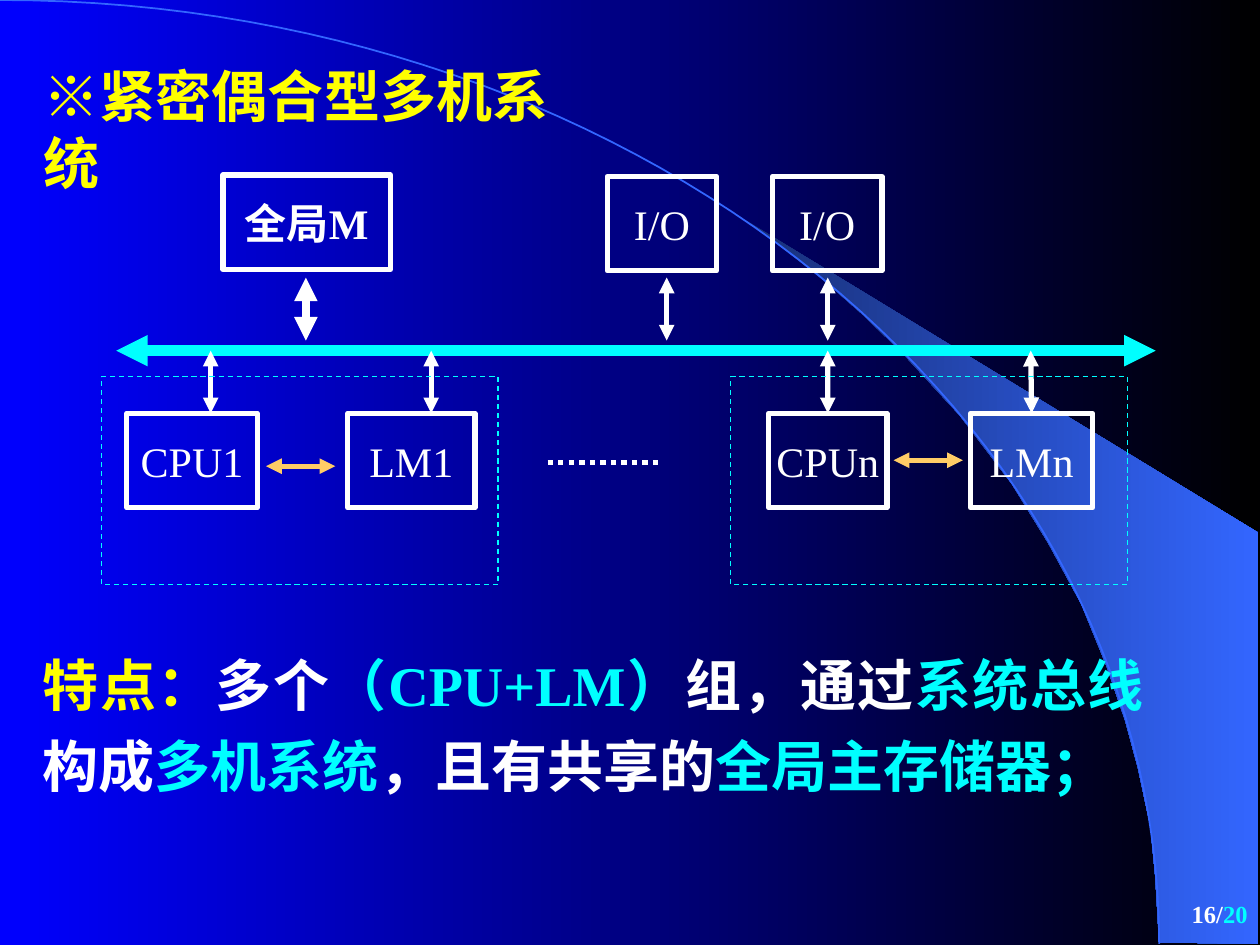
from dataclasses import dataclass
from typing import Optional

from lxml import etree
from pptx import Presentation
from pptx.dml.color import RGBColor
from pptx.enum.dml import MSO_LINE
from pptx.enum.shapes import MSO_CONNECTOR, MSO_SHAPE
from pptx.enum.text import MSO_ANCHOR, PP_ALIGN
from pptx.oxml.ns import qn
from pptx.util import Pt

RECT = MSO_SHAPE.RECTANGLE
STRAIGHT = MSO_CONNECTOR.STRAIGHT
DASH, DOT = MSO_LINE.DASH, MSO_LINE.ROUND_DOT
TOP, MIDDLE = MSO_ANCHOR.TOP, MSO_ANCHOR.MIDDLE
LEFT, CENTER, RIGHT, JUSTIFY = (
    PP_ALIGN.LEFT, PP_ALIGN.CENTER, PP_ALIGN.RIGHT, PP_ALIGN.JUSTIFY)
TOP_SIDE = 0

LATIN, CJK = "Times New Roman", "Noto Sans CJK SC"
COLORS = {
    "white": "FFFFFF", "yellow": "FFFF00", "cyan": "00FFFF", "orange": "FFCC66",
    "blue": "0000FF", "black": "000000", "arc": "3366FF", "deep": "182F76",
}


@dataclass
class Unit:
    text: str
    x: float
    y: float
    w: float
    bold: bool = False
    h: float = 54


@dataclass
class Arrow:
    x1: float
    y1: float
    x2: float
    y2: float
    color: str = "white"
    width: float = 3
    dash: Optional[MSO_LINE] = None
    target: Optional[str] = None


@dataclass
class Run:
    text: str
    color: str
    font: str = LATIN


BUS_Y, CPU_Y, IO_Y = 200.4, 236.2, 100.8
GAP_TOP, GAP_BOTTOM = 158.6, 194.6
UNITS = [
    Unit("CPU1", 72.5, CPU_Y, 74.5),
    Unit("LM1", 198.7, CPU_Y, 72.7),
    Unit("全局M", 127.4, 100, 95.8, bold=True),
    Unit("CPUn", 439.2, CPU_Y, 67.7),
    Unit("LMn", 554.6, CPU_Y, 69.8),
    Unit("I/O", 347, IO_Y, 62.6),
    Unit("I/O", 441.4, IO_Y, 62.6),
]
ARROWS = [
    Arrow(66.4, BUS_Y, 660.4, BUS_Y, "cyan", 6),
    Arrow(174.8, GAP_TOP, 174.8, GAP_BOTTOM, width=4.5),
    Arrow(381, GAP_TOP, 381, GAP_BOTTOM),
    Arrow(473, GAP_TOP, 473, GAP_BOTTOM),
    Arrow(120.4, BUS_Y, 120.4, CPU_Y),
    Arrow(246.4, BUS_Y, 246.4, CPU_Y),
    Arrow(473, BUS_Y, 473, CPU_Y, target="CPUn"),
    Arrow(589, BUS_Y, 589, CPU_Y, target="LMn"),
    Arrow(152, 266.4, 191.6, 266.4, "orange"),
    Arrow(510.6, 263, 550.2, 263, "orange"),
    Arrow(313, 264.4, 379, 264.4, dash=DOT),
]
GROUP_LEFTS = [57.8, 417.4]
ARC_BEZIER = [(0, 0), (365.8, 0), (662.4, 241.2), (662.4, 539.3)]
BEAM = [
    (662.4, 538.6), (719.3, 539.3), (719.3, 304.6), (424.1, 124.6), (449.3, 143.3),
    (470.2, 159.8), (493.2, 180), (515.5, 201.6), (548.6, 237.6), (578.2, 276.5),
    (599, 310.3), (617.8, 344.9), (632.2, 380.2), (643, 411.8), (650.2, 438.5),
    (657.4, 472.3), (660.2, 501.1),
]


def rgb(name: str) -> RGBColor:
    return RGBColor.from_string(COLORS[name])


def set_gradient(fill, start: str, end: str) -> None:
    fill.gradient()
    fill.gradient_angle = 0
    for stop, name in zip(fill.gradient_stops, (start, end)):
        stop.color.rgb = rgb(name)


def bezier_points(ctrl: list, steps: int = 60) -> list:
    """Sample a cubic curve at equal parameter steps."""
    points = []
    for i in range(steps + 1):
        t = i / steps
        weights = ((1 - t) ** 3, 3 * t * (1 - t) ** 2, 3 * t * t * (1 - t), t ** 3)
        points.append(tuple(sum(w * c[k] for w, c in zip(weights, ctrl)) for k in (0, 1)))
    return points


def add_outline(s, points: list, close: bool):
    emu = [(Pt(x), Pt(y)) for x, y in points]
    builder = s.shapes.build_freeform(*emu[0], scale=1.0)
    builder.add_line_segments(emu[1:], close=close)
    sp = builder.convert_to_shape()
    sp.shadow.inherit = False
    return sp


def add_box(s, x: float, y: float, w: float, h: float, color: str, width: float):
    sp = s.shapes.add_shape(RECT, Pt(x), Pt(y), Pt(w), Pt(h))
    sp.shadow.inherit = False
    sp.fill.background()
    sp.line.color.rgb = rgb(color)
    sp.line.width = Pt(width)
    return sp


def add_run(p, run: Run, size: float, bold: bool) -> None:
    r = p.add_run()
    r.text = run.text
    r.font.size, r.font.bold, r.font.name = Pt(size), bold, run.font
    r.font.color.rgb = rgb(run.color)
    ea = etree.Element(qn("a:ea"), typeface=CJK)
    r.font._element.find(qn("a:latin")).addnext(ea)


def add_unit(s, unit: Unit):
    sp = add_box(s, unit.x, unit.y, unit.w, unit.h, "white", 3)
    tf = sp.text_frame
    tf.word_wrap, tf.vertical_anchor = False, MIDDLE
    p = tf.paragraphs[0]
    p.alignment = CENTER
    add_run(p, Run(unit.text, "white"), 24, unit.bold)
    return sp


def add_arrow(s, arrow: Arrow, boxes: dict) -> None:
    """Draw a two-headed arrow, or a plain line when it is dotted."""
    c = s.shapes.add_connector(
        STRAIGHT, Pt(arrow.x1), Pt(arrow.y1), Pt(arrow.x2), Pt(arrow.y2))
    if arrow.target:
        c.end_connect(boxes[arrow.target], TOP_SIDE)
    c.line.color.rgb = rgb(arrow.color)
    c.line.width = Pt(arrow.width)
    if arrow.dash:
        c.line.dash_style = arrow.dash
    else:
        ln = c.line._get_or_add_ln()
        for tag in ("a:headEnd", "a:tailEnd"):
            etree.SubElement(ln, qn(tag), type="triangle")
    etree.SubElement(c._element.spPr, qn("a:effectLst"))


def add_text(s, x: float, y: float, w: float, h: float, runs: list, size: float,
             align: PP_ALIGN = LEFT, anchor: MSO_ANCHOR = TOP, spacing: float = 1.0) -> None:
    tf = s.shapes.add_textbox(Pt(x), Pt(y), Pt(w), Pt(h)).text_frame
    tf.word_wrap, tf.vertical_anchor = True, anchor
    p = tf.paragraphs[0]
    p.alignment, p.line_spacing = align, spacing
    for run in runs:
        add_run(p, run, size, bold=True)


def main() -> None:
    prs = Presentation()
    prs.slide_width, prs.slide_height = Pt(720), Pt(540)
    s = prs.slides.add_slide(prs.slide_layouts[6])
    set_gradient(s.background.fill, "blue", "black")

    beam = add_outline(s, BEAM, close=True)
    set_gradient(beam.fill, "deep", "arc")
    beam.line.fill.background()
    arc = add_outline(s, bezier_points(ARC_BEZIER), close=False)
    arc.fill.background()
    arc.line.color.rgb = rgb("arc")
    arc.line.width = Pt(1)

    boxes = {unit.text: add_unit(s, unit) for unit in UNITS}
    for arrow in ARROWS:
        add_arrow(s, arrow, boxes)
    for left in GROUP_LEFTS:
        add_box(s, left, 215.3, 226.8, 118.8, "cyan", 0.75).line.dash_style = DASH

    add_text(s, 18, 31.7, 329.8, 46, [
        Run("※", "yellow", CJK), Run("紧密偶合型多机系统", "yellow")], 32)
    add_text(s, 17.3, 360.7, 643.7, 99.4, [
        Run("特点：", "yellow"), Run("多个", "white"), Run("（CPU+LM）", "cyan"),
        Run("组，通过", "white"), Run("系统总线", "cyan"), Run("构成", "white"),
        Run("多机系统", "cyan"), Run("，且有共享的", "white"),
        Run("全局主存储器；", "cyan")], 32, JUSTIFY, spacing=1.2)
    add_text(s, 570.2, 504, 149.8, 36, [
        Run("16/", "white"), Run("20", "cyan")], 14, RIGHT, MIDDLE)
    prs.save("out.pptx")


if __name__ == "__main__":
    main()
